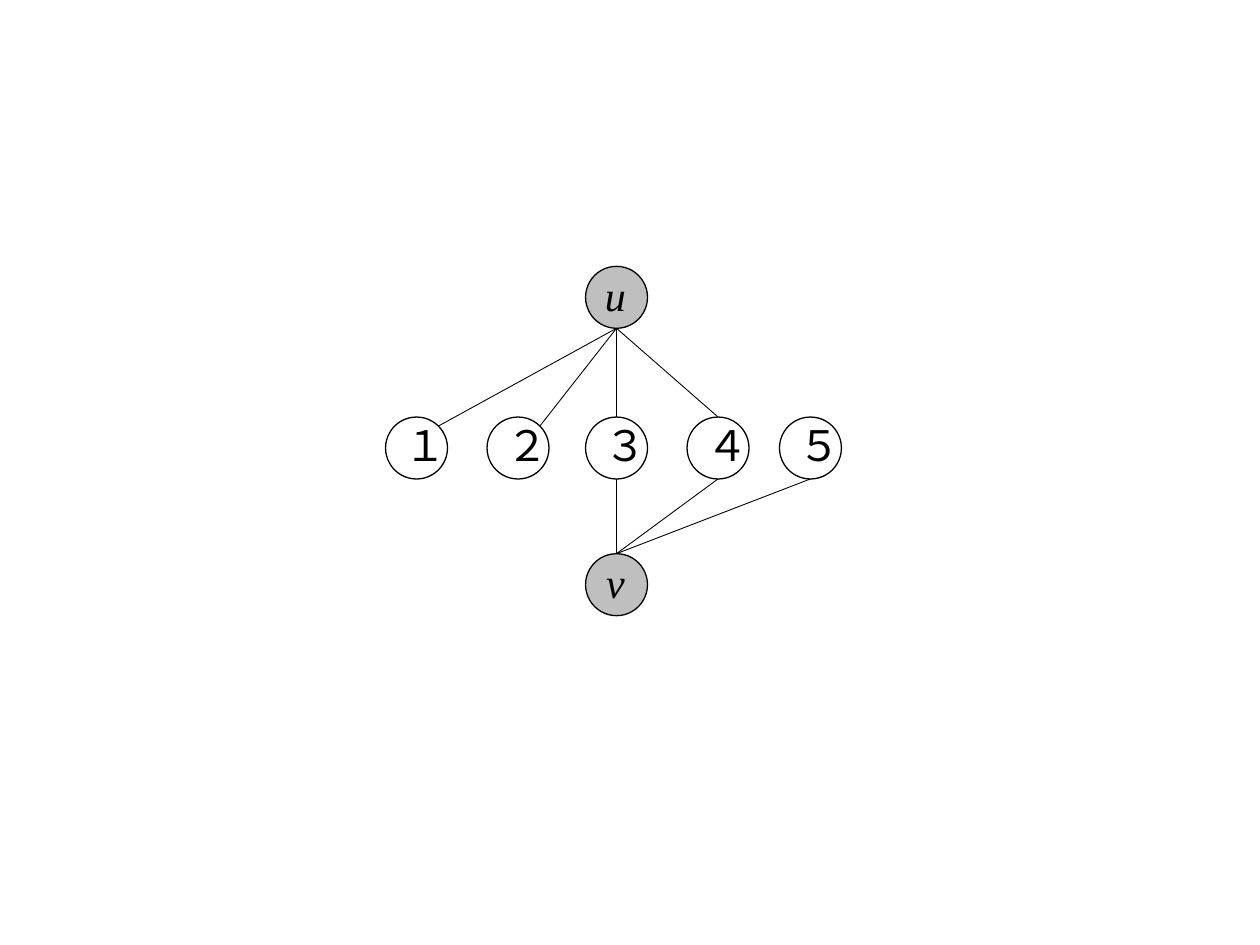
from dataclasses import dataclass
from math import sqrt

from lxml import etree
from pptx import Presentation
from pptx.dml.color import RGBColor
from pptx.enum.shapes import MSO_CONNECTOR, MSO_SHAPE
from pptx.enum.text import MSO_ANCHOR, PP_ALIGN
from pptx.oxml.ns import qn
from pptx.util import Pt

ELLIPSE = MSO_SHAPE.OVAL
STRAIGHT = MSO_CONNECTOR.STRAIGHT
MIDDLE = MSO_ANCHOR.MIDDLE
CENTER = PP_ALIGN.CENTER


@dataclass(frozen=True)
class Theme:
    ink: RGBColor = RGBColor(0, 0, 0)
    hub: RGBColor = RGBColor(0xBF, 0xBF, 0xBF)
    font: str = "Times New Roman"
    label_size: float = 24
    outline: float = 0.75
    edge: float = 0.5


THEME = Theme()
DIAMETER = 35.4
RADIUS = DIAMETER / 2
DIAGONAL = RADIUS / sqrt(2)
SITES = {
    "top": (0, -RADIUS),
    "bottom": (0, RADIUS),
    "top right": (DIAGONAL, -DIAGONAL),
}

HUB_X = 352.3
LEAF_Y = 256
ONE, TWO, THREE, FOUR, FIVE = "\uff11\uff12\uff13\uff14\uff15"
HUBS = {"u": (HUB_X, 169.9), "v": (HUB_X, 334.1)}
LEAVES = {
    ONE: (238, LEAF_Y),
    TWO: (296, LEAF_Y),
    THREE: (HUB_X, LEAF_Y),
    FOUR: (410.3, LEAF_Y),
    FIVE: (463.1, LEAF_Y),
}
CENTERS = HUBS | LEAVES
EDGES = [
    ("u", "bottom", ONE, "top right"),
    ("u", "bottom", TWO, "top right"),
    ("u", "bottom", THREE, "top"),
    ("u", "bottom", FOUR, "top"),
    (THREE, "bottom", "v", "top"),
    (FOUR, "bottom", "v", "top"),
    (FIVE, "bottom", "v", "top"),
]


def write_text(box, text, size=THEME.label_size, color=THEME.ink, italic=False):
    frame = box.text_frame
    frame.word_wrap = True
    frame.vertical_anchor = MIDDLE
    frame.margin_left, frame.margin_top = Pt(5.8), Pt(0)
    frame.margin_right, frame.margin_bottom = Pt(7.2), Pt(3.6)
    para = frame.paragraphs[0]
    para.alignment = CENTER
    span = para.add_run()
    span.text = text
    span.font.name = THEME.font
    span.font.size = Pt(size)
    span.font.italic = italic
    span.font.color.rgb = color


def add_node(page, center, text, fill=None, italic=False):
    left, top = (Pt(value - RADIUS) for value in center)
    node = page.shapes.add_shape(ELLIPSE, left, top, Pt(DIAMETER), Pt(DIAMETER))
    node.shadow.inherit = False
    if fill is None:
        node.fill.background()
    else:
        node.fill.solid()
        node.fill.fore_color.rgb = fill
    node.line.color.rgb = THEME.ink
    node.line.width = Pt(THEME.outline)
    write_text(node, text, italic=italic)


def site_point(name, site):
    return [Pt(value + shift) for value, shift in zip(CENTERS[name], SITES[site])]


def add_edge(page, start, start_site, end, end_site):
    edge = page.shapes.add_connector(
        STRAIGHT, *site_point(start, start_site), *site_point(end, end_site)
    )
    edge.line.color.rgb = THEME.ink
    edge.line.width = Pt(THEME.edge)
    etree.SubElement(edge._element.spPr, qn("a:effectLst"))


def main():
    deck = Presentation()
    deck.slide_width, deck.slide_height = Pt(720), Pt(540)
    page = deck.slides.add_slide(deck.slide_layouts[6])
    for name, center in HUBS.items():
        add_node(page, center, name, fill=THEME.hub, italic=True)
    for name, center in LEAVES.items():
        add_node(page, center, name)
    for edge in EDGES:
        add_edge(page, *edge)
    deck.save("out.pptx")


main()
